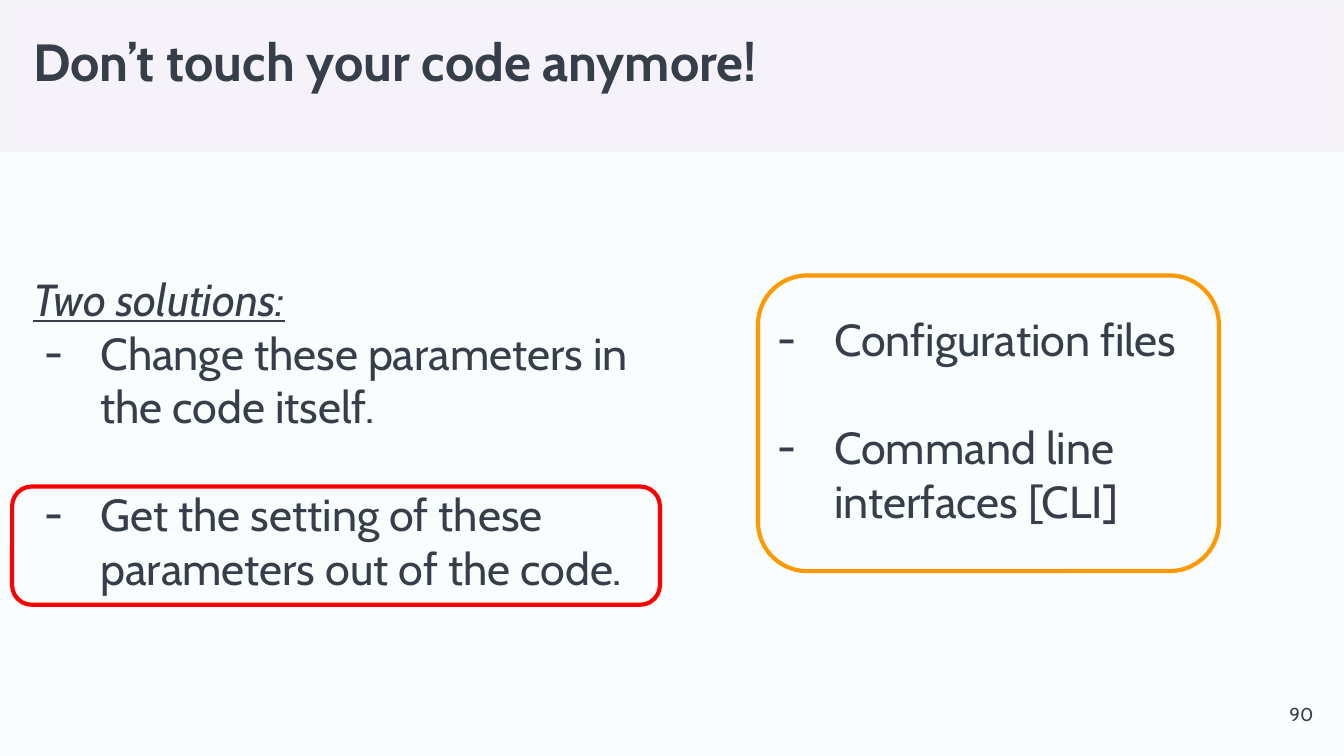
from dataclasses import dataclass

from lxml import etree
from pptx import Presentation
from pptx.dml.color import RGBColor
from pptx.enum.shapes import MSO_SHAPE
from pptx.enum.text import MSO_ANCHOR, PP_ALIGN
from pptx.oxml.ns import qn
from pptx.util import Inches, Pt

RECT, ROUND = MSO_SHAPE.RECTANGLE, MSO_SHAPE.ROUNDED_RECTANGLE
TOP, MIDDLE = MSO_ANCHOR.TOP, MSO_ANCHOR.MIDDLE
LEFT, RIGHT = PP_ALIGN.LEFT, PP_ALIGN.RIGHT
FONT, INK = "Cabin", "363F49"
GAP = 29  # one empty line between list items, in points


@dataclass
class Box:
    left: float
    top: float
    width: float
    height: float

    def place(self) -> list:
        return [Inches(v) for v in (self.left, self.top, self.width, self.height)]


@dataclass
class Para:
    text: str
    dash: bool = False
    lead: bool = False
    before: float = 0


def color(code: str) -> RGBColor:
    return RGBColor.from_string(code)


def add_dash(para) -> None:
    """Give a paragraph a hanging dash in the text font and colour."""
    props = para._p.get_or_add_pPr()
    props.set("marL", str(Inches(0.5)))
    props.set("indent", str(Inches(-0.42)))
    tint = etree.SubElement(props, qn("a:buClr"))
    etree.SubElement(tint, qn("a:srgbClr")).set("val", INK)
    etree.SubElement(props, qn("a:buFont")).set("typeface", FONT)
    etree.SubElement(props, qn("a:buChar")).set("char", "-")


def add_text(slide, box: Box, paras: list[Para], size: float = 24,
             bold: bool = False, align=LEFT, anchor=TOP) -> None:
    frame = slide.shapes.add_textbox(*box.place()).text_frame
    frame.word_wrap = True
    frame.vertical_anchor = anchor
    frame.margin_left = frame.margin_right = Inches(0.1)
    frame.margin_top = frame.margin_bottom = Inches(0.1)
    for i, item in enumerate(paras):
        para = frame.add_paragraph() if i else frame.paragraphs[0]
        para.alignment = align
        if item.before:
            para.space_before = Pt(item.before)
        if item.dash:
            add_dash(para)
        run = para.add_run()
        run.text = item.text
        font = run.font
        font.name, font.size, font.bold = FONT, Pt(size), bold
        font.italic = font.underline = item.lead
        font.color.rgb = color(INK)


def add_frame(slide, kind, box: Box, line: str, width: float, fill: str = "") -> None:
    shape = slide.shapes.add_shape(kind, *box.place())
    shape.shadow.inherit = False
    if fill:
        shape.fill.solid()
        shape.fill.fore_color.rgb = color(fill)
    else:
        shape.fill.background()
    shape.line.color.rgb = color(line)
    shape.line.width = Pt(width)


def main() -> None:
    deck = Presentation()
    # A 16:9 page
    deck.slide_width, deck.slide_height = Inches(10), Inches(10 * 9 / 16)
    slide = deck.slides.add_slide(deck.slide_layouts[6])
    slide.background.fill.solid()
    slide.background.fill.fore_color.rgb = color("FAFDFE")

    # Header band, page number and title
    add_frame(slide, RECT, Box(0, 0, 10, 1.13), "F3F3F3", 0.75, fill="F6F2FA")
    add_text(slide, Box(9.27, 5.1, 0.6, 0.43), [Para("90")],
             size=10, align=RIGHT, anchor=MIDDLE)
    add_text(slide, Box(0.15, 0.12, 7.6, 0.75),
             [Para("Don’t touch your code anymore!")], size=28, bold=True)

    # Two solutions, the second one framed
    add_text(slide, Box(0.15, 1.92, 4.96, 2.63), [
        Para("Two solutions:", lead=True),
        Para("Change these parameters in the code itself.", dash=True),
        Para("Get the setting of these parameters out of the code.",
             dash=True, before=GAP),
    ])
    add_frame(slide, ROUND, Box(0.09, 3.62, 4.82, 0.88), "FF0000", 2.25)

    # Ways to take settings out of the code
    add_text(slide, Box(5.61, 2.22, 3.95, 1.82), [
        Para("Configuration files", dash=True),
        Para("Command line interfaces [CLI]", dash=True, before=GAP),
    ])
    add_frame(slide, ROUND, Box(5.64, 2.05, 3.43, 2.2), "FF9900", 2.25)

    deck.save("out.pptx")


if __name__ == "__main__":
    main()
